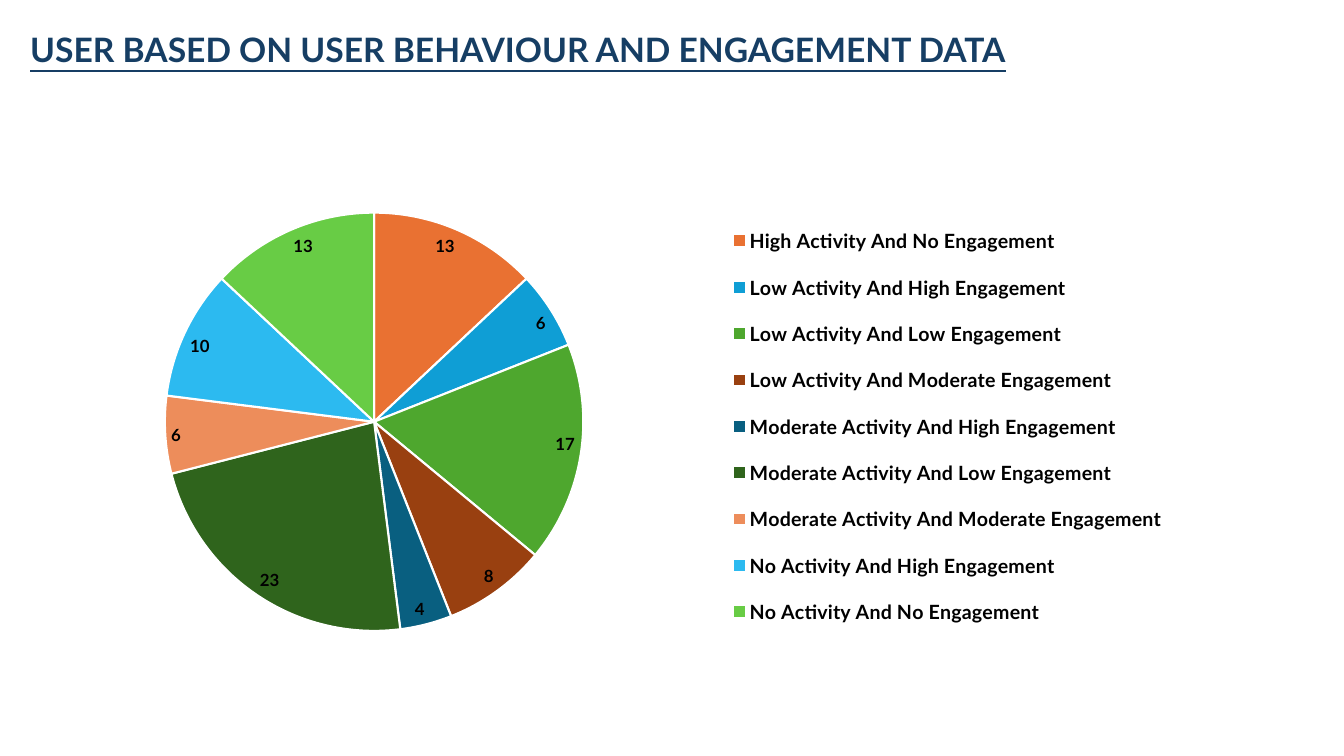
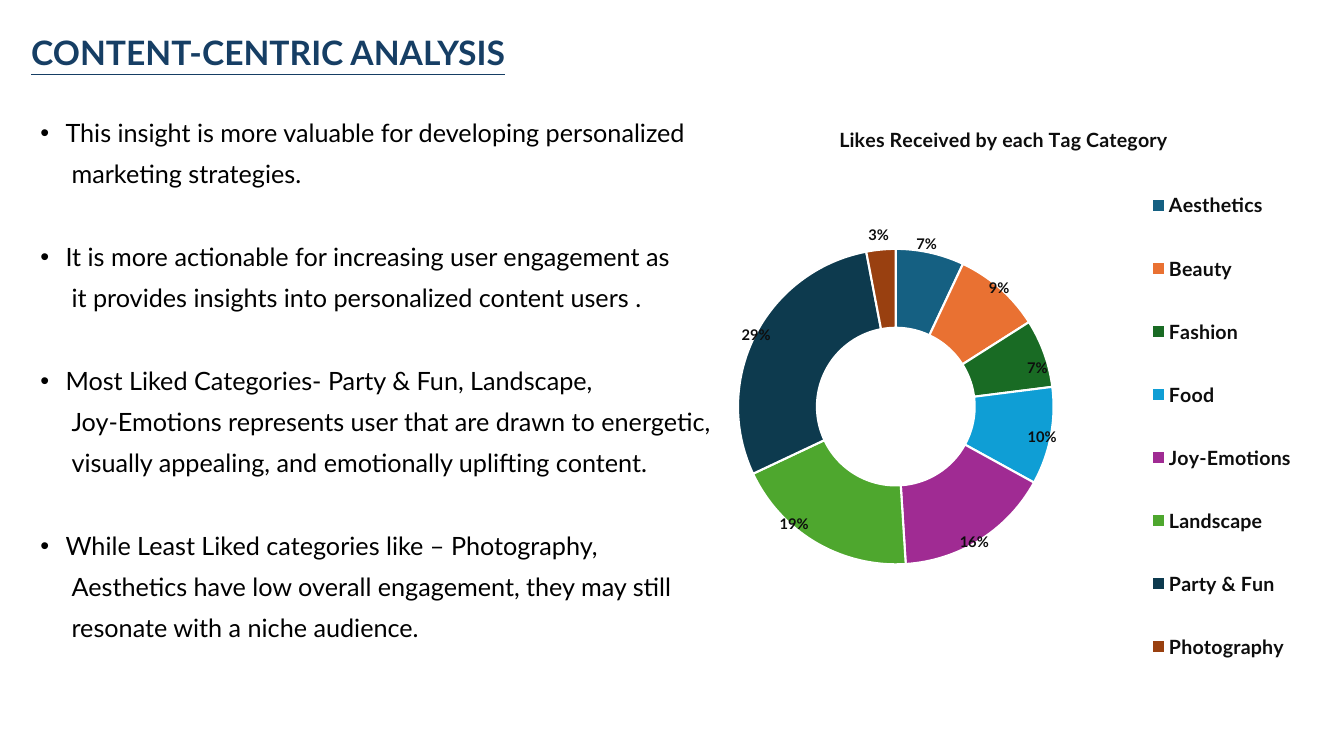
from lxml.etree import SubElement
from pptx import Presentation
from pptx.chart.data import CategoryChartData
from pptx.dml.color import RGBColor
from pptx.enum.chart import XL_CHART_TYPE, XL_LABEL_POSITION, XL_LEGEND_POSITION
from pptx.enum.text import MSO_ANCHOR, MSO_AUTO_SIZE, PP_ALIGN
from pptx.oxml import parse_xml
from pptx.oxml.ns import nsdecls, qn
from pptx.util import Pt

PX = 9144  # 100 px to the inch
FONT = "Lato"
NAVY, BLACK, INK, WHITE = "163E64", "000000", "0D0D0D", "FFFFFF"

# Name, value, colour
USERS = [
    ("High Activity And No Engagement", 13, "E97132"),
    ("Low Activity And High Engagement", 6, "0F9ED5"),
    ("Low Activity And Low Engagement", 17, "4EA72E"),
    ("Low Activity And Moderate Engagement", 8, "994010"),
    ("Moderate Activity And High Engagement", 4, "095F80"),
    ("Moderate Activity And Low Engagement", 23, "2F641C"),
    ("Moderate Activity And Moderate Engagement", 6, "ED8D5B"),
    ("No Activity And High Engagement", 10, "2CBAF0"),
    ("No Activity And No Engagement", 13, "68CC45"),
]
TAGS = [
    ("Aesthetics", 7, "156082"),
    ("Beauty", 9, "E97132"),
    ("Fashion", 7, "196B24"),
    ("Food", 10, "0F9ED5"),
    ("Joy-Emotions", 16, "A02B93"),
    ("Landscape", 19, "4EA72E"),
    ("Party & Fun", 29, "0D3A4E"),
    ("Photography", 3, "994010"),
]
# Label shift from the middle of each ring part, in px
SHIFTS = [(5, -47), (25, -30), (30, 1), (30, 8),
          (15, 35), (-41, 15), (-34, -18), (-6, -54)]
POINTS = [
    ["This insight is more valuable for developing personalized",
     "marketing strategies."],
    ["It is more actionable for increasing user engagement as",
     "it provides insights into personalized content users ."],
    ["Most Liked Categories- Party & Fun, Landscape,",
     "Joy-Emotions represents user that are drawn to energetic,",
     "visually appealing, and emotionally uplifting content."],
    ["While Least Liked categories like – Photography,",
     "Aesthetics have low overall engagement, they may still",
     "resonate with a niche audience."],
]


def rgb(code):
    return RGBColor.from_string(code)


def style(font, size, color, bold=False):
    font.name, font.size, font.bold = FONT, Pt(size), bold
    font.color.rgb = rgb(color)


def put(shape, box):
    shape.left, shape.top, shape.width, shape.height = [n * PX for n in box]


def add_title(slide, text, box):
    title = slide.shapes.title
    put(title, box)
    frame = title.text_frame
    frame.auto_size = MSO_AUTO_SIZE.NONE
    frame.vertical_anchor = MSO_ANCHOR.MIDDLE
    para = frame.paragraphs[0]
    para.alignment, para.line_spacing = PP_ALIGN.LEFT, 0.9
    run = para.add_run()
    run.text = text
    style(run.font, 24, NAVY, True)
    run.font.underline = True


def add_list(slide, points, box):
    body = slide.placeholders[1]
    put(body, box)
    frame = body.text_frame
    frame.auto_size = MSO_AUTO_SIZE.NONE
    frame.vertical_anchor = MSO_ANCHOR.TOP
    for i, lines in enumerate(points):
        for j, line in enumerate(lines):
            first = i == j == 0
            para = frame.paragraphs[0] if first else frame.add_paragraph()
            para.line_spacing = 0.9
            para.space_before = Pt(0 if first else 10 if j else 39.5)
            # Only the first line of a point has a bullet
            props = para._p.get_or_add_pPr()
            props.set("marL", str((31 if j else 25) * PX))
            props.set("indent", str(0 if j else -25 * PX))
            if j:
                SubElement(props, qn("a:buNone"))
            else:
                SubElement(props, qn("a:buFont")).set("typeface", "Arial")
                SubElement(props, qn("a:buChar")).set("char", "•")
            run = para.add_run()
            run.text = line
            style(run.font, 18, BLACK)


def lay_out(node, spot, area, index=1, edge=True, inner=False):
    """Place a chart part by px within the chart's box."""
    for old in node.findall(qn("c:layout")):
        node.remove(old)
    layout = parse_xml(f"<c:layout {nsdecls('c')}><c:manualLayout/></c:layout>")
    tags = [("layoutTarget", "inner")] if inner else []
    if edge:
        tags += [("xMode", "edge"), ("yMode", "edge")]
    sizes = (area[2], area[3]) * 2
    tags += [(key, f"{n / size:.4f}") for key, n, size in zip("xywh", spot, sizes)]
    for tag, val in tags:
        SubElement(layout[0], qn("c:" + tag)).set("val", val)
    node.insert(index, layout)


def add_round(slide, kind, rows, box, plot, key, color):
    """Add a pie or ring chart with coloured parts and a legend."""
    names, vals, fills = zip(*rows)
    data = CategoryChartData()
    data.categories = names
    data.add_series("Series 1", vals)
    chart = slide.shapes.add_chart(kind, *[n * PX for n in box], data).chart
    style(chart.font, 10, BLACK)
    chart.has_title = False
    chart.plots[0].vary_by_categories = True
    series = chart.plots[0].series[0]
    for i, fill in enumerate(fills):
        form = series.points[i].format
        form.fill.solid()
        form.fill.fore_color.rgb = rgb(fill)
        form.line.color.rgb = rgb(WHITE)
        form.line.width = Pt(1.5)
    # Legend and plot area
    chart.has_legend = True
    legend = chart.legend
    legend.position = XL_LEGEND_POSITION.RIGHT
    legend.include_in_layout = False
    style(legend.font, 14, color, True)
    lay_out(legend._element, key, box)
    area = chart._chartSpace.find(".//" + qn("c:plotArea"))
    lay_out(area, plot, box, index=0, inner=True)
    return chart


def add_pie(slide, box):
    chart = add_round(slide, XL_CHART_TYPE.PIE, USERS, box,
                      (65, 101, 528, 415), (679, 95, 438, 436), BLACK)
    labels = chart.plots[0].series[0].data_labels
    labels.show_value = True
    labels.position = XL_LABEL_POSITION.INSIDE_END
    style(labels.font, 12, BLACK, True)


def add_ring(slide, box):
    chart = add_round(slide, XL_CHART_TYPE.DOUGHNUT, TAGS, box,
                      (23, 142, 313, 337), (429, 60, 148, 539), INK)
    # Chart title
    chart.has_title = True
    run = chart.chart_title.text_frame.paragraphs[0].add_run()
    run.text = "Likes Received by each Tag Category"
    style(run.font, 14, INK, True)
    lay_out(chart.chart_title._element, (120, 28), box)
    # Percent labels, moved towards the outer edge
    series = chart.plots[0].series[0]
    labels = series.data_labels
    labels.show_value, labels.show_percentage = False, True
    labels.number_format, labels.number_format_is_linked = "0%", False
    style(labels.font, 10.5, INK, True)
    for i in range(len(TAGS)):
        style(series.points[i].data_label.font, 10.5, INK, True)
    root = chart._chartSpace
    for label, shift in zip(root.iter(qn("c:dLbl")), SHIFTS):
        label.find(qn("c:showVal")).set("val", "0")
        label.find(qn("c:showPercent")).set("val", "1")
        lay_out(label, shift, box, edge=False)
    for tag, val in (("showLeaderLines", "0"), ("holeSize", "75")):
        for node in root.iter(qn("c:" + tag)):
            node.set("val", val)


def main():
    deck = Presentation()
    deck.slide_width, deck.slide_height = 1333 * PX, 750 * PX

    # Users by activity
    slide = deck.slides.add_slide(deck.slide_layouts[5])
    add_title(slide, "USER BASED ON USER BEHAVIOUR AND ENGAGEMENT DATA",
              (20, 20, 1150, 62))
    add_pie(slide, (42, 110, 1200, 566))

    # Likes by tag
    slide = deck.slides.add_slide(deck.slide_layouts[1])
    add_title(slide, "CONTENT-CENTRIC ANALYSIS", (21, 26, 1150, 57))
    add_list(slide, POINTS, (30, 115, 1273, 593))
    add_ring(slide, (709, 93, 615, 657))

    deck.save("out.pptx")


if __name__ == "__main__":
    main()
